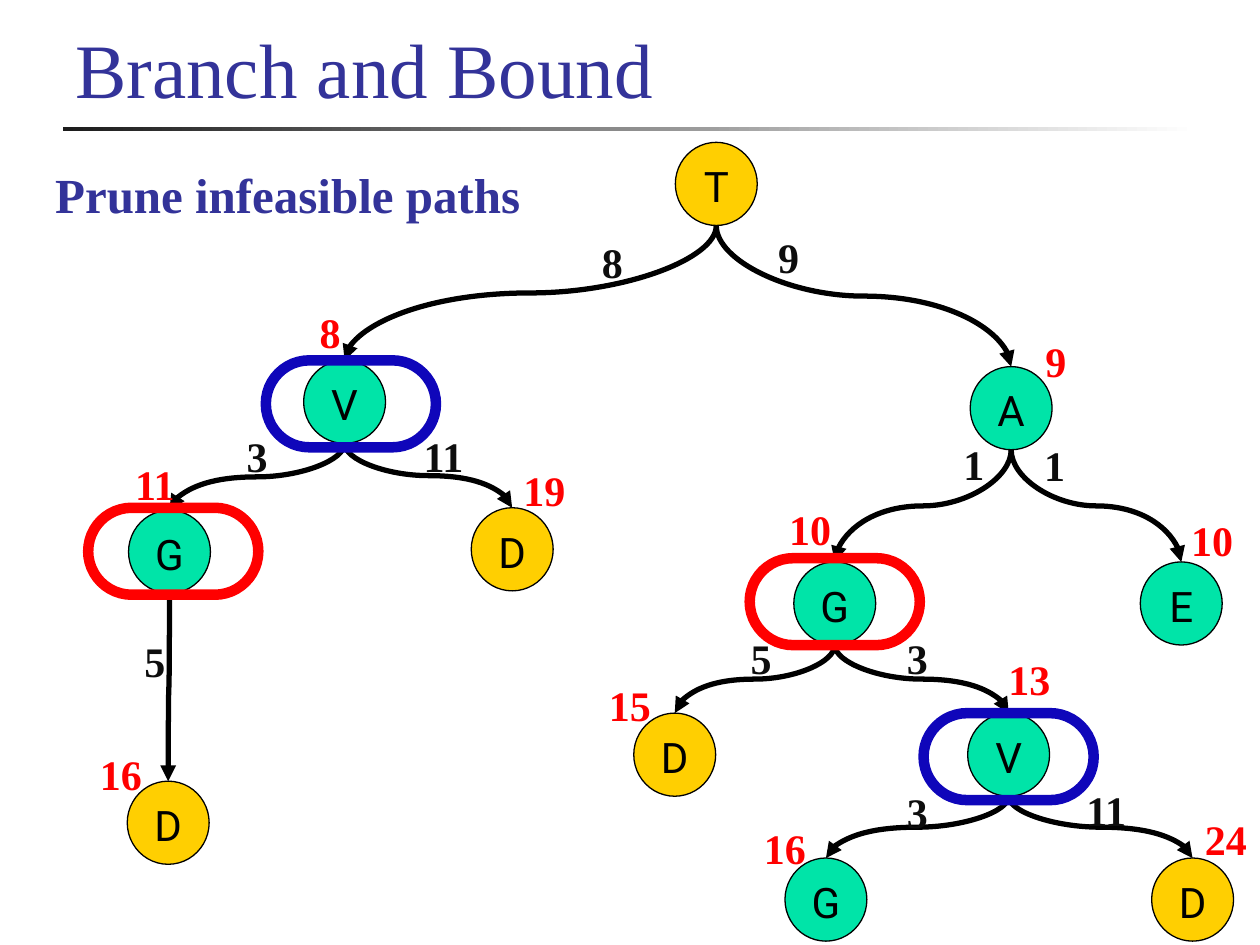
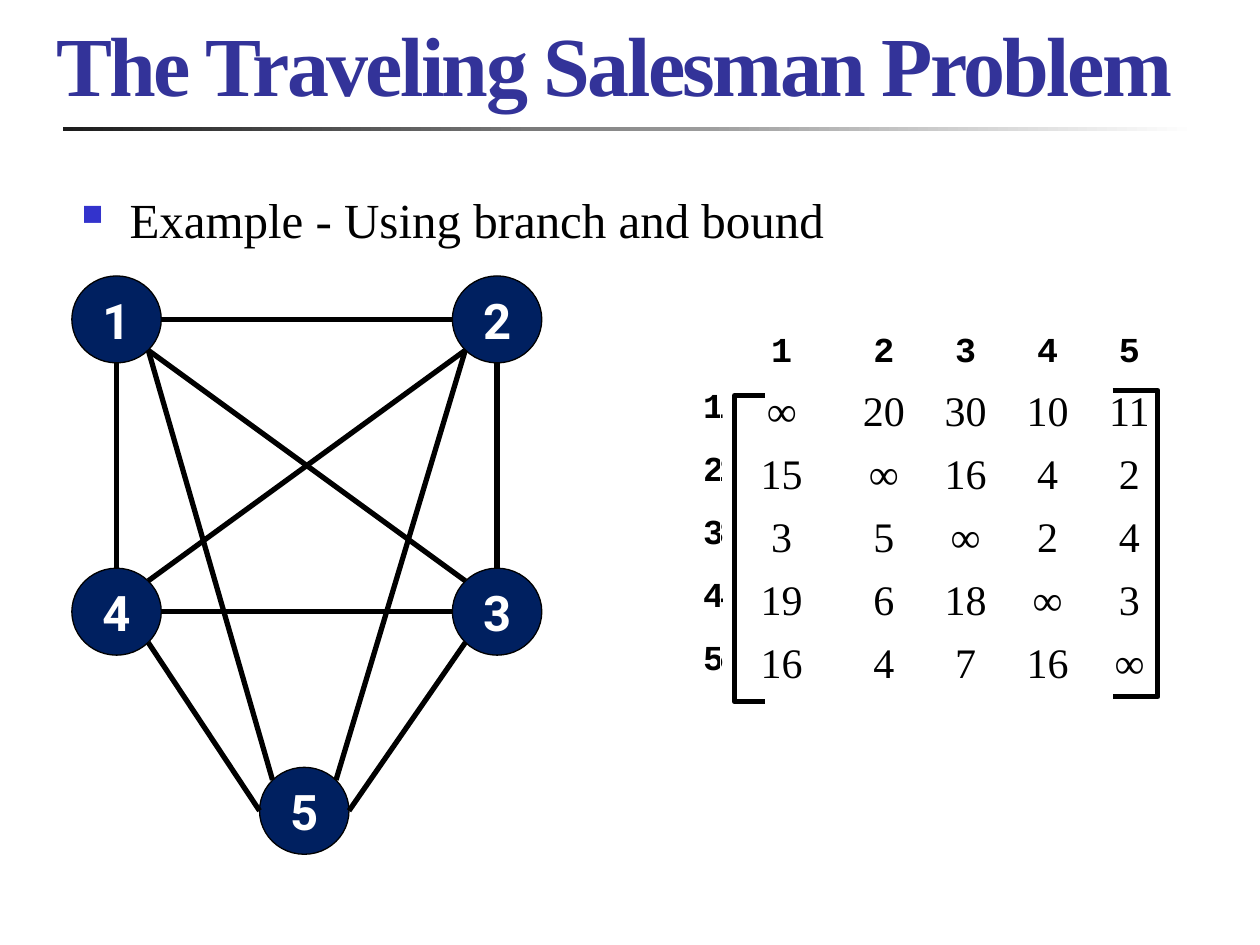
from lxml import etree
from pptx import Presentation
from pptx.dml.color import RGBColor
from pptx.enum.shapes import MSO_CONNECTOR, MSO_SHAPE
from pptx.enum.text import MSO_ANCHOR, PP_ALIGN
from pptx.oxml.ns import qn
from pptx.util import Inches, Pt

OVAL, PILL, RECT = MSO_SHAPE.OVAL, MSO_SHAPE.ROUNDED_RECTANGLE, MSO_SHAPE.RECTANGLE
LEFT_BRACKET, RIGHT_BRACKET = MSO_SHAPE.LEFT_BRACKET, MSO_SHAPE.RIGHT_BRACKET
STRAIGHT, CURVE = MSO_CONNECTOR.STRAIGHT, MSO_CONNECTOR.CURVE
TOP, MIDDLE, BOTTOM = MSO_ANCHOR.TOP, MSO_ANCHOR.MIDDLE, MSO_ANCHOR.BOTTOM
CENTER, JUSTIFY = PP_ALIGN.CENTER, PP_ALIGN.JUSTIFY

SERIF, SANS, MONO = "Times New Roman", "Roboto", "Courier New"
COLORS = {
    "title": "333399", "bullet": "3333CC", "rule": "1C1C1C", "white": "FFFFFF",
    "black": "000000", "step": "0D0D0D", "cost": "FF0000", "goal": "FFCF01",
    "inner": "00E4A8", "red ring": "FF0000", "blue ring": "0F06BA", "city": "002060",
}


def rgb(name):
    return RGBColor.from_string(COLORS[name])


def write(frame, text, size=24, font=SERIF, color="black", bold=False,
          align=None, spacing=None):
    paragraph = frame.paragraphs[0]
    paragraph.alignment = align
    run = paragraph.add_run()
    run.text = text
    run.font.size = Pt(size)
    run.font.name = font
    run.font.bold = bold
    run.font.color.rgb = rgb(color)
    if spacing:
        run.font._element.set("spc", str(int(spacing * 100)))
    return paragraph


def add_text(slide, box, text, anchor=BOTTOM, inset=None, **style):
    frame = slide.shapes.add_textbox(*map(Inches, box)).text_frame
    frame.word_wrap = True
    frame.vertical_anchor = anchor
    if inset is not None:
        frame.margin_left = frame.margin_right = frame.margin_top = 0
        frame.margin_bottom = Inches(inset)
    return write(frame, text, **style)


def add_figure(slide, preset, box, fill=None, line="black", weight=3, adjust=None):
    figure = slide.shapes.add_shape(preset, *map(Inches, box))
    figure.shadow.inherit = False
    if fill:
        figure.fill.solid()
        figure.fill.fore_color.rgb = rgb(fill)
    else:
        figure.fill.background()
    figure.line.color.rgb = rgb(line)
    figure.line.width = Pt(weight)
    if adjust is not None:
        figure.adjustments[0] = adjust
    return figure


def add_node(slide, box, text, fill, anchor=TOP, **style):
    frame = add_figure(slide, OVAL, box, fill, weight=0.75).text_frame
    frame.word_wrap = False
    frame.vertical_anchor = anchor
    write(frame, text, font=SANS, align=CENTER, **style)


def add_line(slide, kind, start, end):
    line = slide.shapes.add_connector(kind, *map(Inches, (*start, *end)))
    line.line.color.rgb = rgb("black")
    line.line.width = Pt(3)
    etree.SubElement(line._element.spPr, qn("a:effectLst"))
    return line


def add_branch(slide, start, end):
    (x1, y1), (x2, y2) = start, end
    mid_x, mid_y = (x1 + x2) / 2, (y1 + y2) / 2
    half_w, half_h = (y2 - y1) / 2, abs(x2 - x1) / 2
    goes_right = x2 > x1
    side = -half_w if goes_right else half_w
    branch = add_line(slide, CURVE, (mid_x - side, mid_y - half_h),
                      (mid_x + side, mid_y + half_h))
    degrees = 270 if goes_right else 90
    branch._element.spPr.find(qn("a:xfrm")).set("rot", str(degrees * 60000))
    outline = branch.line._get_or_add_ln()
    etree.SubElement(outline, qn("a:tailEnd"), type="triangle")


def add_page(deck, title, box, **style):
    slide = deck.slides.add_slide(deck.slide_layouts[6])
    rule = add_figure(slide, RECT, (0.5, 1.01, 9, 0.03))
    rule.line.fill.background()
    rule.fill.gradient()
    rule.fill.gradient_angle = 0
    for stop, name in zip(rule.fill.gradient_stops, ("rule", "white")):
        stop.color.rgb = rgb(name)
    add_text(slide, box, title, color="title", **style)
    return slide


NODE_W, NODE_H = 0.65, 0.66
LABEL_W, LABEL_H = 0.5, 0.41
TREE_NODES = {
    "T": (5.36, 0.13, "goal"),
    "V": (2.41, 1.86, "inner"),
    "A": (7.7, 1.91, "inner"),
    "VG": (1.02, 3.05, "inner"),
    "VD": (3.74, 3.03, "goal"),
    "AG": (6.3, 3.46, "inner"),
    "AE": (9.05, 3.46, "inner"),
    "VGD": (1.01, 5.2, "goal"),
    "AGD": (5.03, 4.66, "goal"),
    "AGV": (7.68, 4.66, "inner"),
    "AGVG": (6.23, 5.81, "inner"),
    "AGVD": (9.14, 5.81, "goal"),
}
TREE_BRANCHES = [
    ("T", "V", "8", (4.86, 0.89), "8", (2.62, 1.44)),
    ("T", "A", "9", (6.26, 0.85), "9", (8.38, 1.67)),
    ("V", "VG", "3", (2.04, 2.43), "11", (1.23, 2.65)),
    ("V", "VD", "11", (3.52, 2.43), "19", (4.32, 2.7)),
    ("A", "AG", "1", (7.73, 2.49), "10", (6.43, 3.01)),
    ("A", "AE", "1", (8.37, 2.5), "10", (9.62, 3.09)),
    ("VG", "VGD", "5", (1.23, 4.05), "16", (0.96, 4.95)),
    ("AG", "AGD", "5", (6.04, 4.03), "15", (5, 4.4)),
    ("AG", "AGV", "3", (7.28, 4.03), "13", (8.17, 4.2)),
    ("AGV", "AGVG", "3", (7.28, 5.25), "16", (6.23, 5.54)),
    ("AGV", "AGVD", "11", (8.78, 5.24), "24", (9.73, 5.47)),
]
RINGS = [(5.95, 3.43, "red ring"), (0.7, 3.03, "red ring"),
         (7.33, 4.66, "blue ring"), (2.11, 1.86, "blue ring")]


def draw_tree(slide, left, top):
    def label(text, spot, color):
        x, y = spot
        add_text(slide, (left + x - LABEL_W / 2, top + y, LABEL_W, LABEL_H), text,
                 inset=0.02, color=color, bold=True, align=CENTER)

    for route, (x, y, fill) in TREE_NODES.items():
        add_node(slide, (left + x, top + y, NODE_W, NODE_H), route[-1], fill)
    for parent, child, step, step_spot, cost, cost_spot in TREE_BRANCHES:
        px, py, _ = TREE_NODES[parent]
        cx, cy, _ = TREE_NODES[child]
        add_branch(slide, (left + px + NODE_W / 2, top + py + NODE_H),
                   (left + cx + NODE_W / 2, top + cy))
        label(step, step_spot, "step")
        label(cost, cost_spot, "cost")
    for x, y, color in RINGS:
        add_figure(slide, PILL, (left + x, top + y, 1.35, 0.69), line=color,
                   weight=6, adjust=0.5)


CITY_W, CITY_H = 0.71, 0.69
CITIES = {"1": (0, 0), "2": (3.02, 0), "3": (3.02, 2.32), "4": (0, 2.32), "5": (1.49, 3.9)}
DIAGONAL = 0.71
SITES = {
    "N": (0, -1), "S": (0, 1), "E": (1, 0), "W": (-1, 0),
    "NE": (DIAGONAL, -DIAGONAL), "NW": (-DIAGONAL, -DIAGONAL),
    "SE": (DIAGONAL, DIAGONAL), "SW": (-DIAGONAL, DIAGONAL),
}
ROADS = [
    ("1", "S", "4", "N"), ("1", "E", "2", "W"), ("2", "S", "3", "N"),
    ("3", "SW", "5", "E"), ("4", "SE", "5", "W"), ("1", "SE", "3", "NW"),
    ("4", "E", "3", "W"), ("4", "NE", "2", "SW"), ("1", "SE", "5", "NW"),
    ("2", "SW", "5", "NE"),
]


def draw_city_graph(slide, left, top):
    def site(city, side):
        (x, y), (dx, dy) = CITIES[city], SITES[side]
        return left + x + CITY_W / 2 * (1 + dx), top + y + CITY_H / 2 * (1 + dy)

    for city, (x, y) in CITIES.items():
        add_node(slide, (left + x, top + y, CITY_W, CITY_H), city, "city",
                 anchor=MIDDLE, size=28, color="white", bold=True)
    for start, start_side, end, end_side in ROADS:
        add_line(slide, STRAIGHT, site(start, start_side), site(end, end_side))


DISTANCES = [
    ["", "1", "2", "3", "4", "5"],
    ["1", "∞", "20", "30", "10", "11"],
    ["2", "15", "∞", "16", "4", "2"],
    ["3", "3", "5", "∞", "2", "4"],
    ["4", "19", "6", "18", "∞", "3"],
    ["5", "16", "4", "7", "16", "∞"],
]
COLUMN_WIDTHS = [0.23, 0.97] + [0.65] * 4
ROW_H = 0.47


def draw_distance_matrix(slide, left, top):
    rows, columns = len(DISTANCES), len(COLUMN_WIDTHS)
    matrix = slide.shapes.add_table(
        rows, columns, Inches(left), Inches(top),
        Inches(sum(COLUMN_WIDTHS)), Inches(ROW_H * rows)).table
    matrix.first_row = matrix.horz_banding = False
    for column, width in zip(matrix.columns, COLUMN_WIDTHS):
        column.width = Inches(width)
    for r, distances in enumerate(DISTANCES):
        for c, distance in enumerate(distances):
            cell = matrix.cell(r, c)
            cell.fill.background()
            cell.vertical_anchor = TOP if r else MIDDLE
            heading = r == 0 or c == 0
            if distance:
                write(cell.text_frame, distance, size=20 if heading else 24,
                      font=MONO if heading else SERIF, bold=heading, align=CENTER)
    add_figure(slide, RIGHT_BRACKET, (left + 3.35, top + 0.53, 0.36, 2.43), adjust=0)
    add_figure(slide, LEFT_BRACKET, (left + 0.35, top + 0.57, 0.24, 2.43), adjust=0)


def add_bullet(slide, box, text):
    paragraph = add_text(slide, box, text, anchor=TOP, size=28, align=JUSTIFY)
    paragraph.line_spacing = 1.5
    properties = paragraph._p.get_or_add_pPr()
    properties.set("marL", str(Inches(0.38)))
    properties.set("indent", str(Inches(-0.38)))
    color = etree.SubElement(properties, qn("a:buClr"))
    etree.SubElement(color, qn("a:srgbClr"), val=COLORS["bullet"])
    etree.SubElement(properties, qn("a:buSzPct"), val="60000")
    etree.SubElement(properties, qn("a:buChar"), char="■")


def build_branch_and_bound(deck):
    slide = add_page(deck, "Branch and Bound", (0.5, 0.13, 9.29, 0.82), size=44)
    add_text(slide, (0.34, 1.24, 4.46, 0.58), "Prune infeasible paths",
             size=28, color="title", bold=True)
    draw_tree(slide, 0, 1)


def build_traveling_salesman(deck):
    slide = add_page(deck, "The Traveling Salesman Problem", (0.35, 0.07, 9.29, 0.88),
                     size=48, bold=True, spacing=-1.5)
    add_bullet(slide, (0.55, 1.22, 8.91, 0.76), "Example - Using branch and bound")
    draw_city_graph(slide, 0.57, 2.19)
    draw_distance_matrix(slide, 5.48, 2.57)


def main():
    deck = Presentation()
    deck.slide_width, deck.slide_height = Inches(10), Inches(7.5)
    build_branch_and_bound(deck)
    build_traveling_salesman(deck)
    deck.save("out.pptx")


if __name__ == "__main__":
    main()
